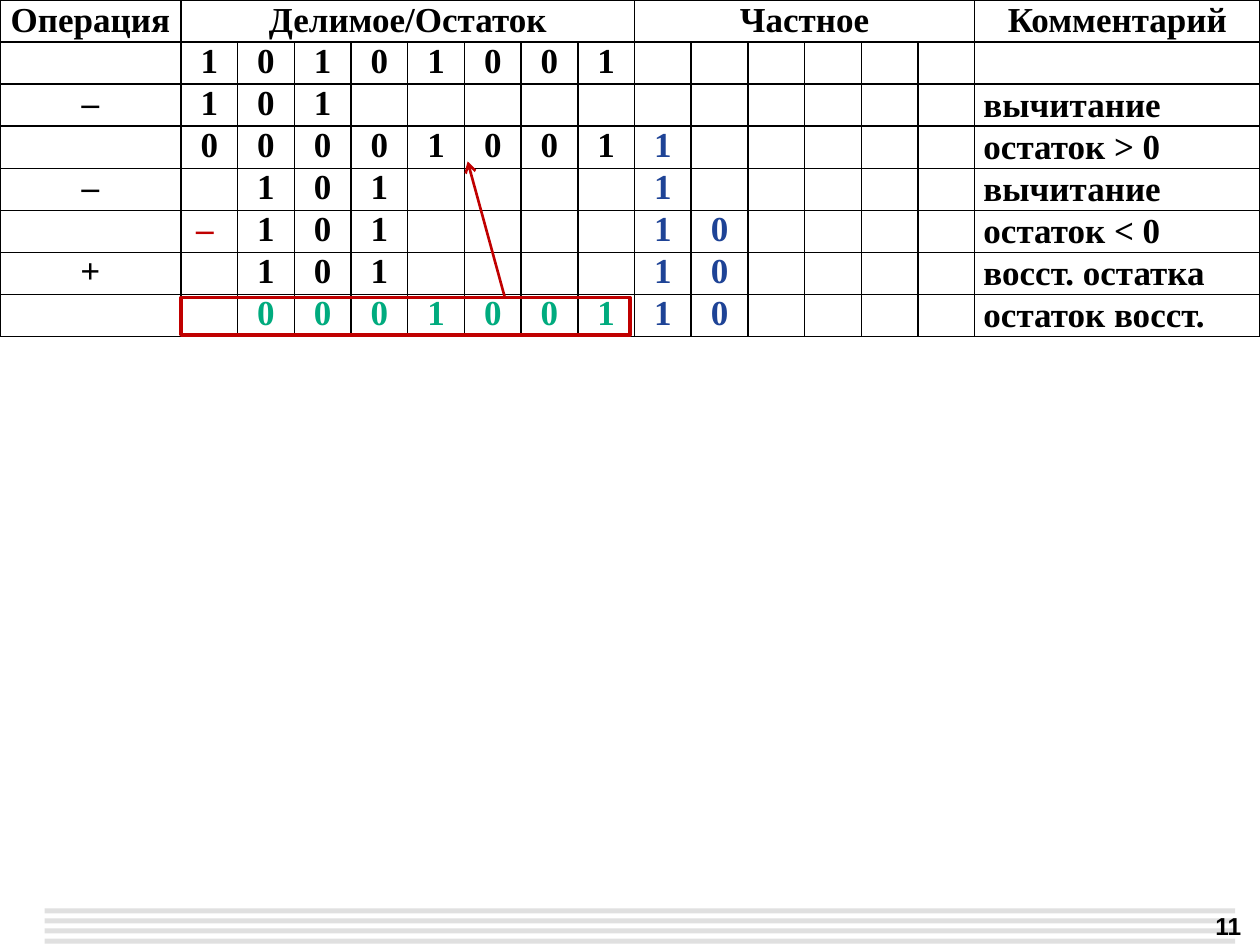
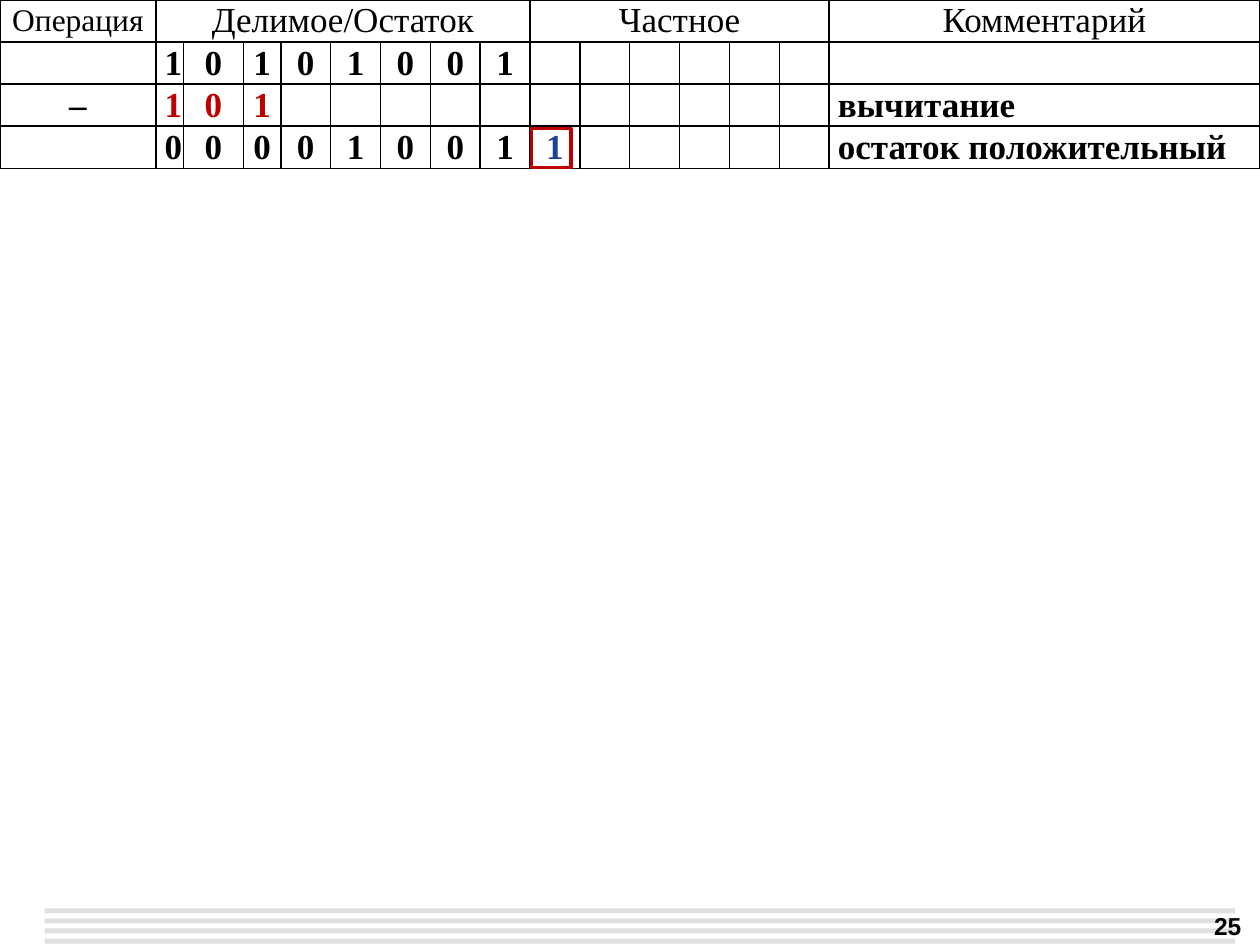
from dataclasses import dataclass
from typing import Any, NamedTuple

from lxml.etree import SubElement
from pptx import Presentation
from pptx.dml.color import RGBColor
from pptx.enum.shapes import MSO_CONNECTOR, MSO_SHAPE
from pptx.enum.text import MSO_ANCHOR, MSO_AUTO_SIZE, PP_ALIGN
from pptx.oxml.ns import qn
from pptx.slide import Slide
from pptx.table import _Cell as Cell
from pptx.util import Pt


@dataclass(frozen=True)
class Theme:
    ink: str = "000000"
    band: str = "E0E0E0"
    accent: str = "C00000"
    quotient: str = "1E4396"
    restored: str = "00AB7E"
    table_font: str = "Times New Roman"
    number_font: str = "Arial"
    table_size: float = 20
    small_size: float = 18
    number_size: float = 14


THEME = Theme()
DIVIDEND_BITS = 8
QUOTIENT_BITS = 6
QUOTIENT_START = 1 + DIVIDEND_BITS
COMMENT_COLUMN = QUOTIENT_START + QUOTIENT_BITS
ROW_HEIGHT = 24
HEADINGS = {0: "Операция", 1: "Делимое/Остаток",
            QUOTIENT_START: "Частное", COMMENT_COLUMN: "Комментарий"}


class Step(NamedTuple):
    """One row of the division; a space in a bit string is an empty cell."""
    operation: str = ""
    remainder: str = ""
    quotient: str = ""
    comment: str = ""
    remainder_color: str = THEME.ink


class Box(NamedTuple):
    left: float
    top: float
    width: float
    height: float


class Arrow(NamedTuple):
    start_x: float
    start_y: float
    end_x: float
    end_y: float


@dataclass(frozen=True)
class DivisionPage:
    number: str
    column_widths: list[float]
    steps: list[Step]
    highlight: Box
    arrows: tuple[Arrow, ...] = ()
    heading_bold: bool = True
    operation_heading_size: float = THEME.table_size
    bit_anchor: MSO_ANCHOR = MSO_ANCHOR.MIDDLE


PAGES = [
    DivisionPage(
        number="11",
        column_widths=[103.4] + [32.4] * 14 + [163],
        steps=[
            Step("", "10101001"),
            Step("–", "101", "", "вычитание"),
            Step("", "00001001", "1", "остаток > 0"),
            Step("–", " 101", "1", "вычитание"),
            Step("", "–101", "10", "остаток < 0"),
            Step("+", " 101", "10", "восст. остатка"),
            Step("", " 0001001", "10", "остаток восст.", THEME.restored),
        ],
        highlight=Box(103.4, 170, 256.5, 21.5),
        arrows=(Arrow(288.5, 170, 267.25, 92.25),),
        bit_anchor=MSO_ANCHOR.TOP,
    ),
    DivisionPage(
        number="25",
        column_widths=[89.1, 15.8, 34.2, 21.4] + [28.5] * 11 + [246],
        steps=[
            Step("", "10101001"),
            Step("–", "101", "", "вычитание", THEME.accent),
            Step("", "00001001", "1", "остаток положительный"),
        ],
        highlight=Box(303.8, 73.4, 22.5, 22.5),
        heading_bold=False,
        operation_heading_size=THEME.small_size,
    ),
]


def apply(target: Any, values: dict[str, Any]) -> None:
    for name, value in values.items():
        setattr(target, name, value)


def rgb(color: str) -> RGBColor:
    return RGBColor.from_string(color)


def add_rectangle(page: Slide, box: Box):
    shape = page.shapes.add_shape(MSO_SHAPE.RECTANGLE, *map(Pt, box))
    shape.shadow.inherit = False
    return shape


def write(frame: Any, text: str, align: PP_ALIGN, font: dict[str, Any],
          color: str, space_after: float = 0) -> None:
    para = frame.paragraphs[0]
    apply(para, {"alignment": align, "space_after": Pt(space_after)})
    span = para.add_run()
    span.text = text
    apply(span.font, font)
    span.font.color.rgb = rgb(color)


def add_footer(page: Slide, number: str) -> None:
    for index in range(4):
        band = add_rectangle(page, Box(25.5, 519.1 + 5.75 * index, 680.3, 2.9))
        band.fill.solid()
        band.fill.fore_color.rgb = rgb(THEME.band)
        band.line.fill.background()
    box = page.shapes.add_textbox(Pt(557.3), Pt(517), Pt(159.1), Pt(23.8))
    apply(box.text_frame, {"word_wrap": True,
                           "auto_size": MSO_AUTO_SIZE.SHAPE_TO_FIT_TEXT})
    write(box.text_frame, number, PP_ALIGN.RIGHT,
          {"name": THEME.number_font, "size": Pt(THEME.number_size),
           "bold": True}, THEME.ink)


def format_cell(cell: Cell) -> None:
    """Clear the fill, tighten the margins and rule all four sides."""
    apply(cell, {"margin_left": Pt(5), "margin_right": Pt(5),
                 "margin_top": 0, "margin_bottom": 0})
    properties = cell._tc.get_or_add_tcPr()
    for side in ("a:lnL", "a:lnR", "a:lnT", "a:lnB"):
        edge = SubElement(properties, qn(side), w=str(Pt(1)))
        fill = SubElement(edge, qn("a:solidFill"))
        SubElement(fill, qn("a:srgbClr"), val=THEME.ink)
    cell.fill.background()


def fill_cell(cell: Cell, text: str, color: str = THEME.ink,
              anchor: MSO_ANCHOR = MSO_ANCHOR.MIDDLE,
              align: PP_ALIGN = PP_ALIGN.CENTER, bold: bool = True,
              size: float = THEME.table_size) -> None:
    cell.vertical_anchor = anchor
    if text.strip():
        write(cell.text_frame, text, align,
              {"name": THEME.table_font, "size": Pt(size), "bold": bold},
              color, space_after=1.8)


def fill_step(cells: list[Cell], step: Step, anchor: MSO_ANCHOR) -> None:
    fill_cell(cells[0], step.operation, anchor=anchor)
    for cell, bit in zip(cells[1:], step.remainder):
        if bit == "–":
            fill_cell(cell, "– ", THEME.accent, anchor)
        else:
            fill_cell(cell, bit, step.remainder_color, anchor)
    for cell, bit in zip(cells[QUOTIENT_START:], step.quotient):
        fill_cell(cell, bit, THEME.quotient, anchor)
    fill_cell(cells[COMMENT_COLUMN], step.comment, align=PP_ALIGN.LEFT)


def add_division_table(page: Slide, content: DivisionPage) -> None:
    row_count = len(content.steps) + 1
    table = page.shapes.add_table(
        row_count, len(content.column_widths), 0, 0,
        Pt(sum(content.column_widths)), Pt(ROW_HEIGHT * row_count)).table
    apply(table, {"first_row": False, "horz_banding": False})
    for column, width in zip(table.columns, content.column_widths):
        column.width = Pt(width)
    for row in table.rows:
        row.height = Pt(ROW_HEIGHT)
    for cell in table.iter_cells():
        format_cell(cell)

    table.cell(0, 1).merge(table.cell(0, DIVIDEND_BITS))
    table.cell(0, QUOTIENT_START).merge(table.cell(0, COMMENT_COLUMN - 1))
    for column, heading in HEADINGS.items():
        size = THEME.table_size if column else content.operation_heading_size
        fill_cell(table.cell(0, column), heading,
                  bold=content.heading_bold, size=size)
    for row_index, step in enumerate(content.steps, start=1):
        fill_step(list(table.rows[row_index].cells), step, content.bit_anchor)


def add_highlight(page: Slide, box: Box) -> None:
    frame = add_rectangle(page, box)
    frame.fill.background()
    frame.line.color.rgb = rgb(THEME.accent)
    frame.line.width = Pt(2)


def add_arrow(page: Slide, arrow: Arrow) -> None:
    connector = page.shapes.add_connector(MSO_CONNECTOR.STRAIGHT,
                                          *map(Pt, arrow))
    connector.line.color.rgb = rgb(THEME.accent)
    connector.line.width = Pt(1.5)
    SubElement(connector.line._get_or_add_ln(), qn("a:tailEnd"), type="arrow")
    SubElement(connector._element.spPr, qn("a:effectLst"))


def main() -> None:
    deck = Presentation()
    apply(deck, {"slide_width": Pt(720), "slide_height": Pt(540)})
    blank_layout = deck.slide_layouts.get_by_name("Blank")
    for content in PAGES:
        page = deck.slides.add_slide(blank_layout)
        add_footer(page, content.number)
        add_division_table(page, content)
        add_highlight(page, content.highlight)
        for arrow in content.arrows:
            add_arrow(page, arrow)
    deck.save("out.pptx")


if __name__ == "__main__":
    main()
